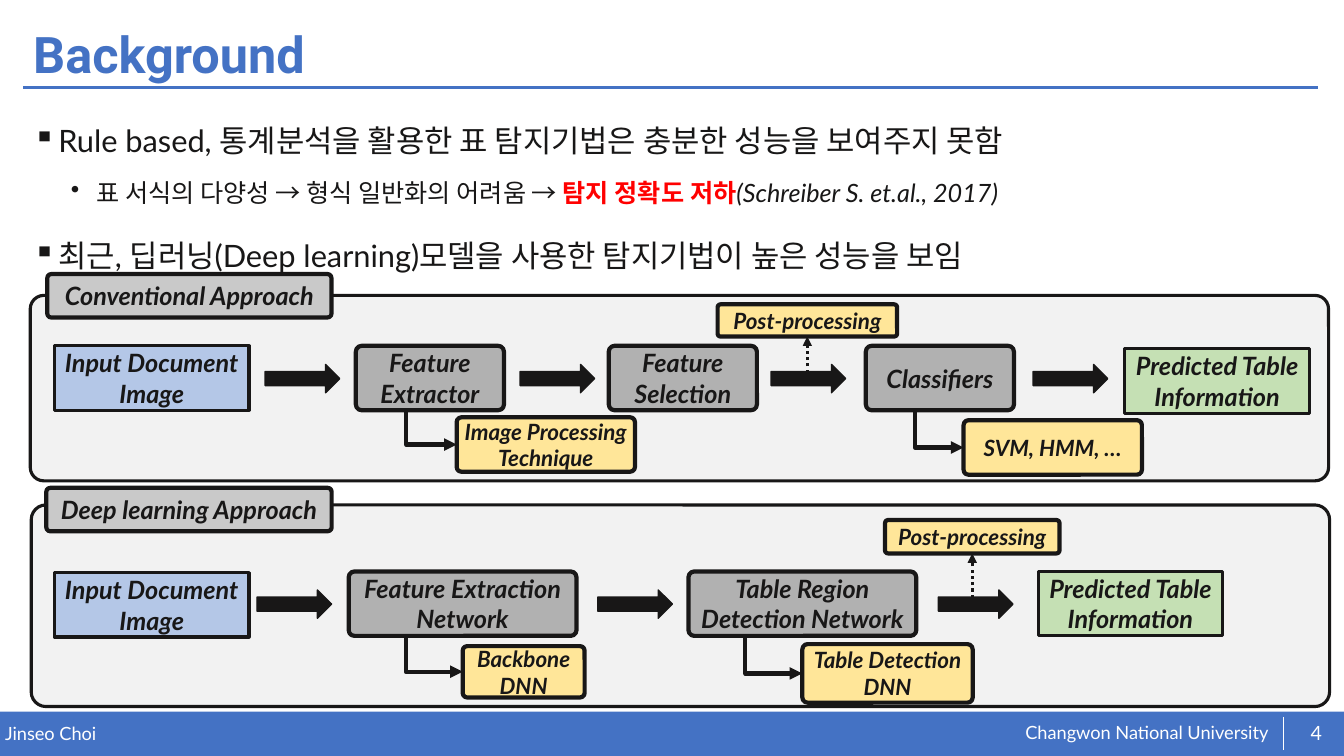
import lxml.etree
import pptx
import pptx.dml.color
import pptx.enum.dml
import pptx.enum.shapes
import pptx.enum.text
import pptx.oxml.ns
import pptx.util

RGBColor = pptx.dml.color.RGBColor
Pt = pptx.util.Pt
SHAPE = pptx.enum.shapes.MSO_SHAPE
CONNECTOR = pptx.enum.shapes.MSO_CONNECTOR
ALIGN = pptx.enum.text.PP_ALIGN
ANCHOR = pptx.enum.text.MSO_ANCHOR
qn = pptx.oxml.ns.qn

INK = RGBColor(0x18, 0x17, 0x17)
WHITE = RGBColor(0xFF, 0xFF, 0xFF)
RED = RGBColor(0xFF, 0x00, 0x00)
ACCENT = RGBColor(0x44, 0x72, 0xC4)
PANEL = RGBColor(0xF2, 0xF2, 0xF2)
LABEL = RGBColor(0xC9, 0xC9, 0xC9)
STAGE = RGBColor(0xB1, 0xB1, 0xB1)
NOTE = RGBColor(0xFF, 0xE6, 0x99)
INPUT = RGBColor(0xB4, 0xC7, 0xE7)
OUTPUT = RGBColor(0xC5, 0xE0, 0xB4)


class Deck:
    font = "Lato"

    def __init__(self):
        self.prs = pptx.Presentation()
        self.prs.slide_width, self.prs.slide_height = Pt(960), Pt(540)
        self.s = self.prs.slides.add_slide(self.prs.slide_layouts[6])

    def run(self, p, text, size, color=INK, bold=False, italic=False, font=None):
        r = p.add_run()
        r.text = text
        r.font.name = font or self.font
        r.font.size = Pt(size)
        r.font.color.rgb = color
        r.font.bold, r.font.italic = bold, italic

    def frame(self, sp, inset=(0, 0), anchor=ANCHOR.TOP):
        tf = sp.text_frame
        tf.word_wrap = True
        tf.margin_left = tf.margin_right = Pt(inset[0])
        tf.margin_top = tf.margin_bottom = Pt(inset[1])
        tf.vertical_anchor = anchor
        return tf

    def text(self, x, y, w, h, text, size, color=WHITE, align=ALIGN.LEFT,
             anchor=ANCHOR.TOP, inset=(0, 0), spacing=1.0, **style):
        sp = self.s.shapes.add_textbox(Pt(x), Pt(y), Pt(w), Pt(h))
        p = self.frame(sp, inset, anchor).paragraphs[0]
        p.alignment, p.line_spacing = align, spacing
        self.run(p, text, size, color, **style)

    def bullets(self, x, y, w, h, items):
        sp = self.s.shapes.add_textbox(Pt(x), Pt(y), Pt(w), Pt(h))
        tf = self.frame(sp, (7.2, 3.6))
        for i, (level, size, runs) in enumerate(items):
            p = tf.paragraphs[0] if i == 0 else tf.add_paragraph()
            pPr = p._p.get_or_add_pPr()
            pPr.set("marL", str(Pt((18, 45)[level])))
            pPr.set("indent", str(Pt(-18)))
            bu = lxml.etree.SubElement(pPr, qn("a:buChar"))
            bu.set("char", "▪•"[level])
            p.level, p.line_spacing = level, 1.4
            p.space_before = Pt((10, 5)[level] if i else 0)
            for text, style in runs:
                self.run(p, text, size, **style)

    def shape(self, kind, x, y, w, h, fill, width=None, adj=None):
        sp = self.s.shapes.add_shape(kind, Pt(x), Pt(y), Pt(w), Pt(h))
        sp.shadow.inherit = False
        sp.fill.solid()
        sp.fill.fore_color.rgb = fill
        if width:
            sp.line.color.rgb = INK
            sp.line.width = Pt(width)
        else:
            sp.line.fill.background()
        if adj:
            sp.adjustments[0] = adj
        return sp

    def box(self, x, y, w, h, text, fill, size=18, kind=SHAPE.ROUNDED_RECTANGLE):
        rounded = kind == SHAPE.ROUNDED_RECTANGLE
        sp = self.shape(kind, x, y, w, h, fill, 3 if rounded else 2.25,
                        0.089 if rounded else None)
        tf = self.frame(sp, anchor=ANCHOR.MIDDLE)
        for i, line in enumerate(text.split("\n")):
            p = tf.paragraphs[0] if i == 0 else tf.add_paragraph()
            p.alignment = ALIGN.CENTER
            self.run(p, line, size, bold=True, italic=True)
        return sp

    def line(self, x1, y1, x2, y2, color=INK, width=3, kind=CONNECTOR.STRAIGHT,
             dash=None, head=False):
        c = self.s.shapes.add_connector(kind, Pt(x1), Pt(y1), Pt(x2), Pt(y2))
        c.line.color.rgb = color
        c.line.width = Pt(width)
        if dash:
            c.line.dash_style = dash
        if head:
            end = lxml.etree.SubElement(c.line._get_or_add_ln(), qn("a:tailEnd"))
            end.set("type", "triangle")
        lxml.etree.SubElement(c._element.spPr, qn("a:effectLst"))
        return c

    def arrow(self, x, y):
        self.shape(SHAPE.RIGHT_ARROW, x, y, 53.3, 20.2, INK, 1)

    def stage(self, x, y, w, text, note=None):
        if note:
            nx, ny, nw, nh, note_text = note
            self.line(x, y + 23, nx, ny + nh / 2, kind=CONNECTOR.ELBOW, head=True)
            self.box(nx, ny, nw, nh, note_text, NOTE, 16)
        self.box(x, y, w, 46, text, STAGE)

    def post_processing(self, x, y, w, h, start):
        sp = self.box(x, y, w, h, "Post-processing", NOTE, 16)
        mid = x + w / 2
        c = self.line(mid, start, mid, y + h, width=2.25, head=True,
                      dash=pptx.enum.dml.MSO_LINE.ROUND_DOT)
        c.end_connect(sp, 2)

    def approach(self, panel, label, source, result, arrows, stages, post):
        self.shape(SHAPE.ROUNDED_RECTANGLE, *panel, PANEL, 2.25, 0.073)
        self.box(*label, LABEL)
        self.box(*source, 139, 46, "Input Document Image", INPUT,
                 kind=SHAPE.RECTANGLE)
        self.box(*result, 131.8, 46, "Predicted Table\nInformation", OUTPUT,
                 kind=SHAPE.RECTANGLE)
        for x in arrows[0]:
            self.arrow(x, arrows[1])
        for stage in stages:
            self.stage(*stage)
        self.post_processing(*post)


def main():
    d = Deck()
    d.shape(SHAPE.RECTANGLE, 0, 508.3, 960, 31.7, ACCENT)
    d.text(729.4, 515.5, 195, 16.6, "Changwon National University", 13,
           inset=(3, 0))
    d.text(3.6, 516.2, 471.6, 16, "Jinseo Choi", 13)
    d.line(16.6, 62.6, 941.8, 62.6, ACCENT, 2)
    d.line(916.6, 512, 916.6, 535.7, WHITE, 0.5)
    d.text(923, 509, 34.6, 28.8, "4", 14, align=ALIGN.CENTER, anchor=ANCHOR.MIDDLE)
    d.text(16.6, 13, 926, 55.4, "Background", 36, ACCENT, anchor=ANCHOR.MIDDLE,
           inset=(7.2, 3.6), spacing=0.9, bold=True, font="Roboto")
    d.bullets(16.6, 72.7, 926, 405.4, [
        (0, 22, [("Rule based, 통계분석을 활용한 표 탐지기법은 충분한 성능을 보여주지 못함", {})]),
        (1, 18, [("표 서식의 다양성 → 형식 일반화의 어려움 → ", {}),
                 ("탐지 정확도 저하", {"color": RED, "bold": True}),
                 ("(Schreiber S. et.al., 2017)", {"italic": True})]),
        (0, 22, [("최근, 딥러닝(Deep learning)모델을 사용한 탐지기법이 높은 성능을 보임", {})]),
    ])
    d.approach(
        panel=(21.6, 211, 927.4, 132.5),
        label=(33.8, 195.8, 203, 31, "Conventional Approach"),
        source=(38.9, 247), result=(803.5, 249.1),
        arrows=((189.4, 371.5, 550.8, 738), 260.3),
        stages=[
            (254.2, 247, 105.8, "Feature\nExtractor",
             (326.2, 298.1, 127.4, 38.9, "Image Processing\nTechnique")),
            (434.9, 247, 105.8, "Feature\nSelection"),
            (618.5, 247, 105.8, "Classifiers",
             (688.3, 300.2, 127.4, 38.9, "SVM, HMM, …")),
        ],
        post=(512.6, 217.4, 128.2, 23, 270.7))
    d.approach(
        panel=(22.3, 360.7, 927.4, 144),
        label=(33.1, 348.5, 203.8, 31, "Deep learning Approach"),
        source=(38.9, 409), result=(741.6, 408.2),
        arrows=((183.6, 427, 670.3), 421.4),
        stages=[
            (249.1, 408.2, 162.7, "Feature Extraction\nNetwork",
             (330.5, 461.5, 87.1, 36.7, "Backbone\nDNN")),
            (491.8, 408.2, 162.7, "Table Region Detection Network",
             (573.1, 460.1, 121.7, 41.8, "Table Detection\nDNN")),
        ],
        post=(632.2, 371.5, 124.6, 23.8, 427))
    d.prs.save("out.pptx")


if __name__ == "__main__":
    main()
